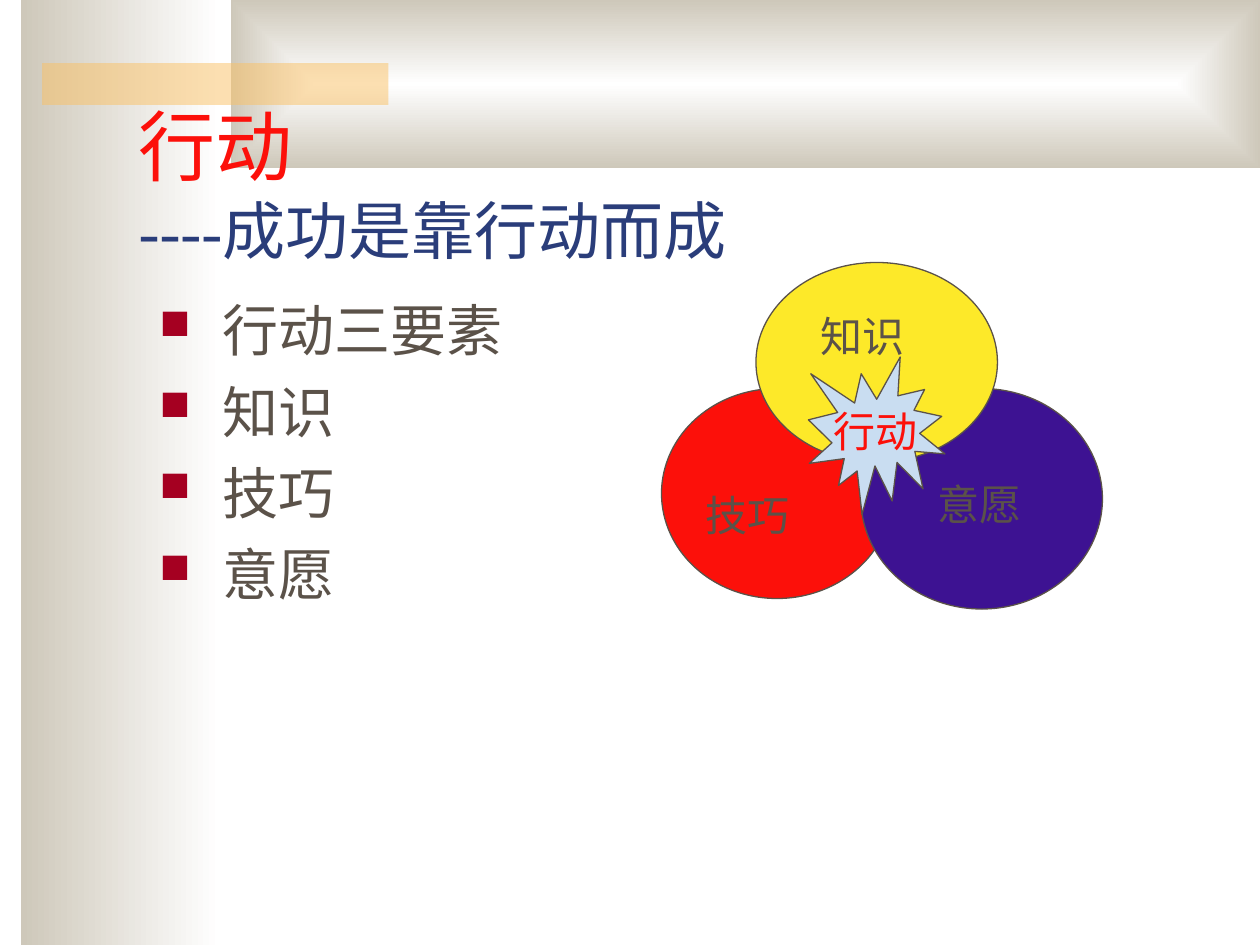
from lxml import etree
from pptx import Presentation
from pptx.dml.color import RGBColor
from pptx.enum.shapes import MSO_SHAPE
from pptx.enum.text import MSO_ANCHOR, MSO_AUTO_SIZE, PP_ALIGN
from pptx.oxml.ns import qn
from pptx.util import Pt

RECTANGLE = MSO_SHAPE.RECTANGLE
OVAL = MSO_SHAPE.OVAL
BURST = MSO_SHAPE.EXPLOSION1
LEFT, CENTER = PP_ALIGN.LEFT, PP_ALIGN.CENTER
BOTTOM, MIDDLE = MSO_ANCHOR.BOTTOM, MSO_ANCHOR.MIDDLE
NO_FIT, GROW = MSO_AUTO_SIZE.NONE, MSO_AUTO_SIZE.SHAPE_TO_FIT_TEXT
TITLE_ONLY = 5

FONT = "Times New Roman"
WHITE = RGBColor(0xFF, 0xFF, 0xFF)
SAND = RGBColor(0xCE, 0xC8, 0xBA)
ORANGE = RGBColor(0xFA, 0xC1, 0x64)
RED = RGBColor(0xFC, 0x10, 0x0A)
NAVY = RGBColor(0x2A, 0x3D, 0x7A)
BROWN = RGBColor(0x5B, 0x52, 0x49)
PURPLE = RGBColor(0x3D, 0x12, 0x92)
YELLOW = RGBColor(0xFD, 0xE9, 0x29)
PALE_BLUE = RGBColor(0xC9, 0xDD, 0xF1)
BULLET_RED = RGBColor(0xA5, 0x00, 0x21)

BULLETS = ["行动三要素", "知识", "技巧", "意愿"]
# left, top, width, height, colour
CIRCLES = [
    (378, 222, 132, 120, RED),
    (492, 222, 138, 126, PURPLE),
    (432, 150, 138, 114, YELLOW),
]
# text, left, top
LABELS = [("知识", 462, 174), ("技巧", 396, 276), ("意愿", 528.5, 270)]


def format_run(run, size, color):
    run.font.name = FONT
    run.font.size = Pt(size)
    run.font.color.rgb = color


def add_shape(shapes, kind, left, top, width, height, color=None, outline=None):
    shape = shapes.add_shape(kind, Pt(left), Pt(top), Pt(width), Pt(height))
    shape.shadow.inherit = False
    if color is not None:
        shape.fill.solid()
        shape.fill.fore_color.rgb = color
    if outline is None:
        shape.line.fill.background()
    else:
        shape.line.color.rgb = outline
        shape.line.width = Pt(0.75)
    return shape


def fill_gradient(shape, rectangular=False):
    shape.fill.gradient()
    shape.fill.gradient_angle = 180
    for stop, color in zip(shape.fill.gradient_stops, (WHITE, SAND)):
        stop.color.rgb = color
    if rectangular:
        gradient = shape.element.spPr.find(qn("a:gradFill"))
        linear = gradient.find(qn("a:lin"))
        shade = etree.Element(qn("a:path"), {"path": "rect"})
        sides = dict.fromkeys("ltrb", "50000")
        etree.SubElement(shade, qn("a:fillToRect"), sides)
        gradient.replace(linear, shade)


def add_background(shapes):
    fill_gradient(add_shape(shapes, RECTANGLE, 12, 0, 114, 540))
    fill_gradient(add_shape(shapes, RECTANGLE, 132, 0, 588, 96), rectangular=True)
    accent = add_shape(shapes, RECTANGLE, 24, 36, 198, 24, ORANGE)
    color = accent.element.spPr.find(qn("a:solidFill"))[0]
    etree.SubElement(color, qn("a:alpha"), val="50000")


def format_title(title):
    title.left, title.top, title.width, title.height = Pt(72), Pt(66), Pt(612), Pt(90)
    frame = title.text_frame
    frame.text = "行动\v----成功是靠行动而成"
    frame.auto_size = NO_FIT
    frame.vertical_anchor = BOTTOM
    paragraph = frame.paragraphs[0]
    paragraph.alignment = LEFT
    heading, subtitle = paragraph.runs
    format_run(heading, 44, RED)
    format_run(subtitle, 36, NAVY)


def add_bullets(shapes):
    frame = shapes.add_textbox(Pt(84), Pt(165.6), Pt(612), Pt(324)).text_frame
    frame.word_wrap = True
    frame.text = "\n".join(BULLETS)
    for paragraph in frame.paragraphs:
        paragraph.space_before = Pt(8)
        format_run(paragraph.runs[0], 32, BROWN)
        properties = paragraph._p.get_or_add_pPr()
        properties.set("marL", str(Pt(36)))
        properties.set("indent", str(-Pt(36)))
        color = etree.SubElement(properties, qn("a:buClr"))
        etree.SubElement(color, qn("a:srgbClr"), val=str(BULLET_RED))
        etree.SubElement(properties, qn("a:buSzPct"), val="75000")
        etree.SubElement(properties, qn("a:buChar"), char="■")


def add_label(shapes, text, left, top):
    # Wide enough for two 24 pt characters and both side insets
    frame = shapes.add_textbox(Pt(left), Pt(top), Pt(64), Pt(36)).text_frame
    frame.word_wrap = False
    frame.auto_size = GROW
    frame.text = text
    format_run(frame.paragraphs[0].runs[0], 24, BROWN)


def add_burst(shapes):
    burst = add_shape(shapes, BURST, 462, 204, 78, 90, PALE_BLUE, BROWN)
    frame = burst.text_frame
    frame.word_wrap = False
    frame.vertical_anchor = MIDDLE
    frame.text = "行动"
    frame.paragraphs[0].alignment = CENTER
    format_run(frame.paragraphs[0].runs[0], 24, RED)


def main():
    presentation = Presentation()
    presentation.slide_width, presentation.slide_height = Pt(720), Pt(540)
    slide = presentation.slides.add_slide(presentation.slide_layouts[TITLE_ONLY])
    shapes = slide.shapes
    title = shapes.title

    # Backdrop, with the title brought in front of it
    add_background(shapes)
    shapes.element.append(title.element)

    # Title and bullet list
    format_title(title)
    add_bullets(shapes)

    # Three overlapping circles with their labels and the burst
    circles = shapes.add_group_shape()
    for left, top, width, height, color in CIRCLES:
        add_shape(circles.shapes, OVAL, left, top, width, height, color, BROWN)
    for text, left, top in LABELS:
        add_label(shapes, text, left, top)
    add_burst(shapes)

    presentation.save("out.pptx")


if __name__ == "__main__":
    main()
